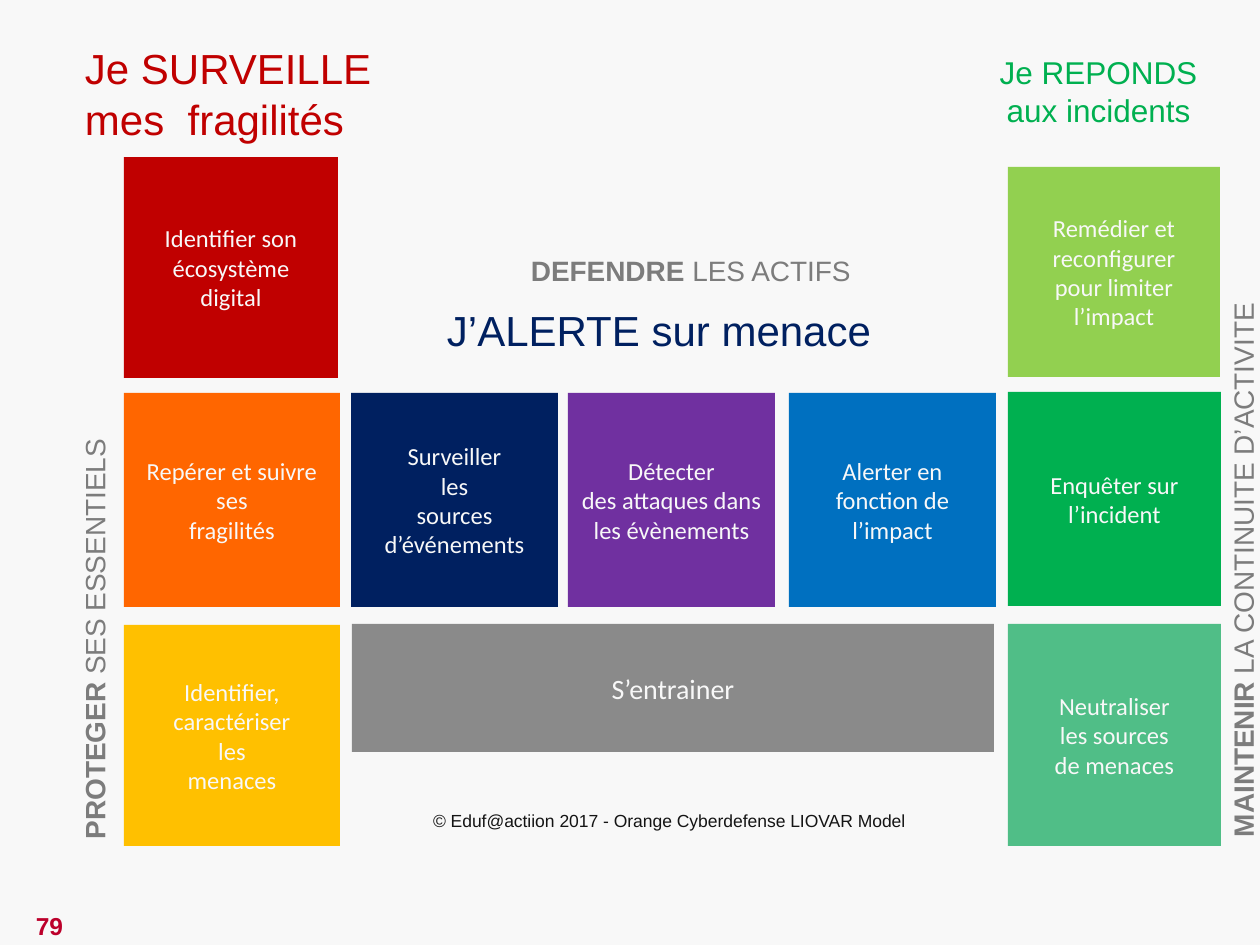
from pptx import Presentation
from pptx.dml.color import RGBColor
from pptx.enum.shapes import MSO_SHAPE
from pptx.enum.text import MSO_ANCHOR, MSO_AUTO_SIZE, PP_ALIGN
from pptx.util import Pt

PX = 914400 // 126
COLORS = {
    "background": "F8F8F8", "light": "F8F8F8", "gray": "7C7C7C", "ink": "141414",
    "number": "BC002B", "red": "C00000", "orange": "FF6600", "amber": "FFC000",
    "navy": "002060", "purple": "7030A0", "blue": "0070C0", "lime": "92D050",
    "green": "00B050", "mint": "50BE87", "bar": "8A8A8A",
}


def color(name):
    return RGBColor.from_string(COLORS[name])


def write(text_frame, text, font_name, size, color_name, alignment):
    for index, line in enumerate(text.split("\n")):
        paragraph = text_frame.paragraphs[0] if index == 0 else text_frame.add_paragraph()
        paragraph.alignment = alignment
        first, *others = line.split("|")
        paragraph.text = first
        for other in others:
            paragraph.add_run().text = other
        for position, run in enumerate(paragraph.runs):
            formats = {"name": font_name, "size": Pt(size),
                       "bold": bool(others) and position == 0}
            for attribute, value in formats.items():
                setattr(run.font, attribute, value)
            run.font.color.rgb = color(color_name)


presentation = Presentation()
presentation.slide_width = 1260 * PX
presentation.slide_height = 945 * PX
slide = presentation.slides.add_slide(presentation.slide_layouts[6])
slide.background.fill.solid()
slide.background.fill.fore_color.rgb = color("background")

LEFT, RIGHT = 124, 1008
tiles = [
    (RIGHT, 624, 213, 222, "mint", 14, "Neutraliser\nles sources\nde menaces"),
    (RIGHT, 392, 213, 214, "green", 14, "Enquêter sur\nl’incident"),
    (RIGHT, 167, 212, 210, "lime", 14, "Remédier et reconfigurer\npour limiter\nl’impact"),
    (351, 393, 207, 214, "navy", 14, "Surveiller\nles\nsources d’événements"),
    (568, 393, 207, 214, "purple", 14, "Détecter\ndes attaques dans les évènements"),
    (789, 393, 207, 214, "blue", 14, "Alerter en fonction de l’impact"),
    (LEFT, 393, 216, 214, "orange", 14, "Repérer et suivre\nses\nfragilités"),
    (LEFT, 157, 214, 221, "red", 14, "Identifier son écosystème\ndigital"),
    (LEFT, 625, 216, 221, "amber", 14, "Identifier, caractériser\nles\nmenaces"),
    (352, 624, 642, 128, "bar", 16, "S’entrainer"),
]
for left, top, width, height, fill, size, text in tiles:
    shape = slide.shapes.add_shape(
        MSO_SHAPE.RECTANGLE, left * PX, top * PX, width * PX, height * PX)
    shape.shadow.inherit = False
    shape.fill.solid()
    shape.fill.fore_color.rgb = color(fill)
    shape.line.fill.background()
    shape.text_frame.word_wrap = True
    shape.text_frame.vertical_anchor = MSO_ANCHOR.MIDDLE
    write(shape.text_frame, text, "Calibri", size, "light", PP_ALIGN.CENTER)

labels = [
    (-117, 615, 423, 44, 270, 9, 5, 16, "gray", PP_ALIGN.LEFT, "PROTEGER| SES ESSENTIELS"),
    (522, 249, 341, 44, 0, 9, 5, 16, "gray", PP_ALIGN.LEFT, "DEFENDRE| LES ACTIFS"),
    (960, 541, 566, 44, 270, 9, 5, 16, "gray", PP_ALIGN.LEFT,
     "MAINTENIR| LA CONTINUITE D’ACTIVITE"),
    (76, 38, 320, 111, 0, 9, 5, 24, "red", PP_ALIGN.LEFT, "Je SURVEILLE\vmes  fragilités"),
    (438, 300, 447, 60, 0, 9, 5, 24, "navy", PP_ALIGN.LEFT, "J’ALERTE sur menace"),
    (989, 48, 219, 86, 0, 9, 5, 18, "green", PP_ALIGN.CENTER, "Je REPONDS\naux incidents"),
    (433, 810, 476, 21, 0, 0, 0, 10, "ink", PP_ALIGN.LEFT,
     "© Eduf@actiion 2017 - Orange Cyberdefense LIOVAR Model"),
    (-3, 905, 105, 43, 0, 13, 6, 14, "number", PP_ALIGN.CENTER, "79|"),
]
for left, top, width, height, rotation, inset_x, inset_y, size, ink, alignment, text in labels:
    shape = slide.shapes.add_textbox(left * PX, top * PX, width * PX, height * PX)
    shape.rotation = rotation
    frame_formats = {
        "margin_left": inset_x * PX, "margin_right": inset_x * PX,
        "margin_top": inset_y * PX, "margin_bottom": inset_y * PX,
        "word_wrap": False, "auto_size": MSO_AUTO_SIZE.SHAPE_TO_FIT_TEXT,
    }
    for attribute, value in frame_formats.items():
        setattr(shape.text_frame, attribute, value)
    write(shape.text_frame, text, "Arial", size, ink, alignment)

presentation.save("out.pptx")
